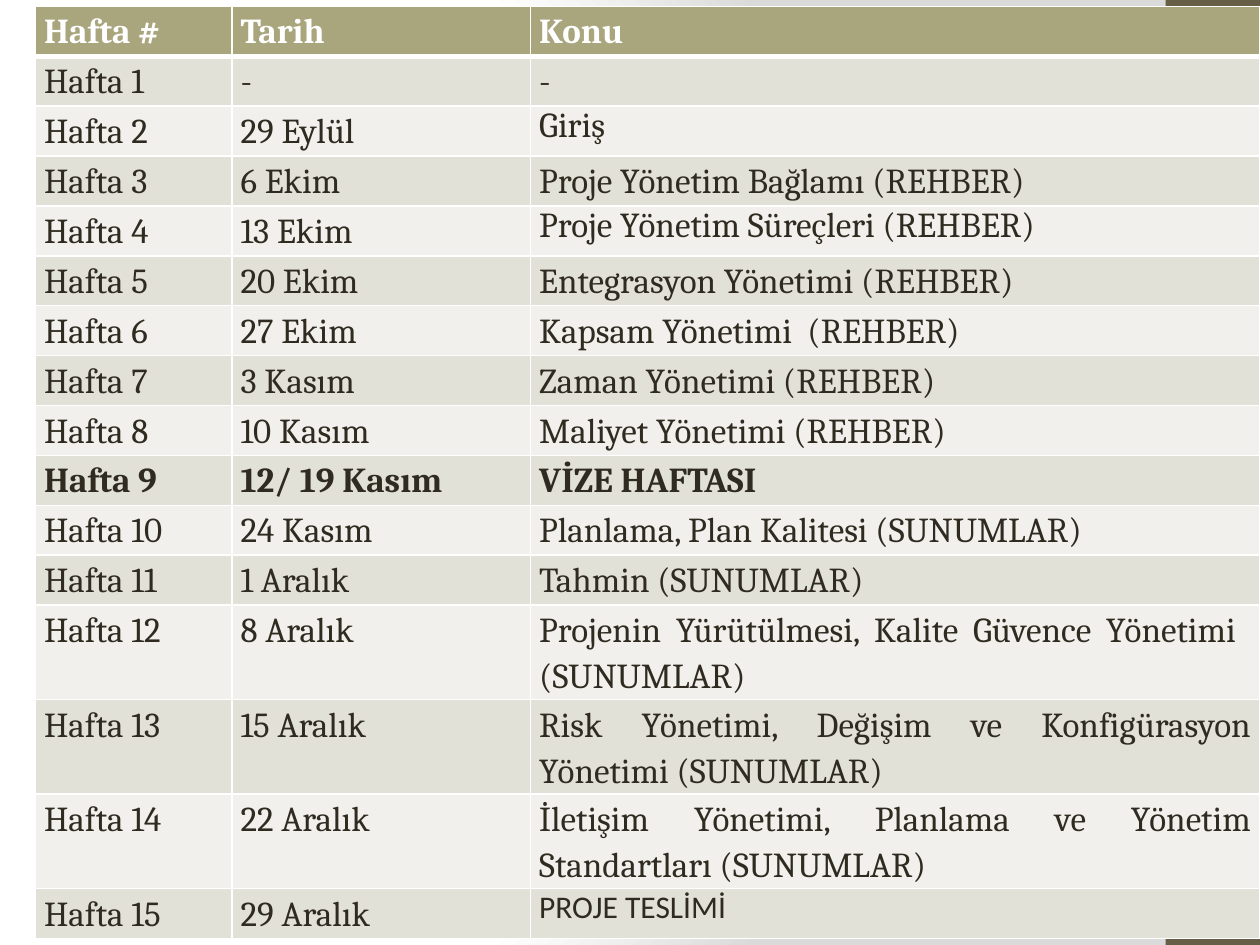
from pptx import Presentation
from pptx.dml.color import RGBColor
from pptx.enum import shapes, text
from pptx.oxml import parse_xml
from pptx.oxml.ns import nsdecls
from pptx.util import Inches, Pt

HEADER = ("Hafta #", "Tarih", "Konu")
WEEKS = [
    ("-", "- "),
    ("29 Eylül", "Giriş"),
    ("6 Ekim", "Proje Yönetim Bağlamı (REHBER)"),
    ("13 Ekim", "Proje Yönetim Süreçleri (REHBER)"),
    ("20 Ekim", "Entegrasyon Yönetimi (REHBER)"),
    ("27 Ekim", "Kapsam Yönetimi  (REHBER)"),
    ("3 Kasım", "Zaman Yönetimi (REHBER)"),
    ("10 Kasım", "Maliyet Yönetimi (REHBER)"),
    ("12/ 19 Kasım", "VİZE HAFTASI"),
    ("24 Kasım", "Planlama, Plan Kalitesi (SUNUMLAR)"),
    ("1 Aralık", "Tahmin (SUNUMLAR)"),
    ("8 Aralık", "Projenin Yürütülmesi, Kalite Güvence Yönetimi  (SUNUMLAR)"),
    ("15 Aralık", "Risk Yönetimi, Değişim ve Konfigürasyon Yönetimi (SUNUMLAR)"),
    ("22 Aralık", "İletişim Yönetimi, Planlama ve Yönetim Standartları (SUNUMLAR)"),
    ("29 Aralık", "PROJE TESLİMİ"),
]
ROWS = [HEADER] + [(f"Hafta {n}", *week) for n, week in enumerate(WEEKS, 1)]
BOLD_ROWS = {0, 9}
TALL_ROWS = {12, 13, 14}
PLAIN_TOPICS = {2, 4, 15}  # topics set left with single line spacing
LAST = len(ROWS) - 1

LEFT, TOP, HEIGHT = 0.28, 0.05, 7.4
COLS = (1.56, 2.37, 5.79)
TALL = 0.75
SHORT = (HEIGHT - TALL * len(TALL_ROWS)) / (len(ROWS) - len(TALL_ROWS))

WHITE, OLIVE, BROWN, INK = "FFFFFF", "A9A57C", "675E47", "2F2B20"
BANDS = ("F1F0EC", "E2E1D7")
SIDE_BLOCKS = [((9.25, 0, 0.75, 7.5), BROWN), ((9.25, 6, 0.75, 0.75), OLIVE)]
BG_STOPS = ((0, WHITE), (75, WHITE), (100, "DADADA"))


def paint(fill, color):
    fill.solid()
    fill.fore_color.rgb = RGBColor.from_string(color)


def set_background(slide):
    stops = "".join(f'<a:gs pos="{pos * 1000}"><a:srgbClr val="{color}"/></a:gs>'
                    for pos, color in BG_STOPS)
    bg = parse_xml(
        f'<p:bg {nsdecls("p", "a")}><p:bgPr><a:gradFill rotWithShape="1">'
        f'<a:gsLst>{stops}</a:gsLst><a:path path="circle">'
        '<a:fillToRect l="20000" t="50000" r="100000" b="50000"/></a:path>'
        '</a:gradFill><a:effectLst/></p:bgPr></p:bg>')
    slide.element.cSld.insert(0, bg)


def set_borders(cell, bottom):
    """Draw white borders; they go before the fill in the cell properties."""
    tc_pr = cell._tc.get_or_add_tcPr()
    widths = {"L": 1, "R": 1, "T": 1, "B": bottom}
    for i, (side, width) in enumerate(widths.items()):
        tc_pr.insert(i, parse_xml(
            f'<a:ln{side} {nsdecls("a")} w="{Pt(width)}"><a:solidFill>'
            f'<a:srgbClr val="{WHITE}"/></a:solidFill></a:ln{side}>'))


def fill_cell(cell, row, col, words):
    margins = {"margin_left": 0.07, "margin_right": 0.07, "margin_top": 0, "margin_bottom": 0}
    for name, value in margins.items():
        setattr(cell, name, Inches(value))
    paint(cell.fill, BANDS[row % 2] if row else OLIVE)
    set_borders(cell, bottom=1 if row else 3)

    p = cell.text_frame.paragraphs[0]
    if col != 2 or row not in PLAIN_TOPICS:
        p.alignment = text.PP_ALIGN.JUSTIFY
        p.line_spacing = 1.15
    r = p.add_run()
    r.text = words
    is_delivery = row == LAST and col == 2
    font = {"name": "Calibri" if is_delivery else "Cambria",
            "size": Pt(18 if is_delivery else 20), "bold": row in BOLD_ROWS}
    for name, value in font.items():
        setattr(r.font, name, value)
    r.font.color.rgb = RGBColor.from_string(INK if row else WHITE)


prs = Presentation()
prs.slide_width, prs.slide_height = Inches(10), Inches(7.5)
s = prs.slides.add_slide(prs.slide_layouts[6])
set_background(s)

for box, color in SIDE_BLOCKS:
    sp = s.shapes.add_shape(shapes.MSO_SHAPE.RECTANGLE, *map(Inches, box))
    sp.shadow.inherit = False
    paint(sp.fill, color)
    sp.line.fill.background()

table = s.shapes.add_table(len(ROWS), len(COLS), Inches(LEFT), Inches(TOP),
                           Inches(sum(COLS)), Inches(HEIGHT)).table
for column, width in zip(table.columns, COLS):
    column.width = Inches(width)
for i, row in enumerate(ROWS):
    table.rows[i].height = Inches(TALL if i in TALL_ROWS else SHORT)
    for j, words in enumerate(row):
        fill_cell(table.cell(i, j), i, j, words)

prs.save("out.pptx")
